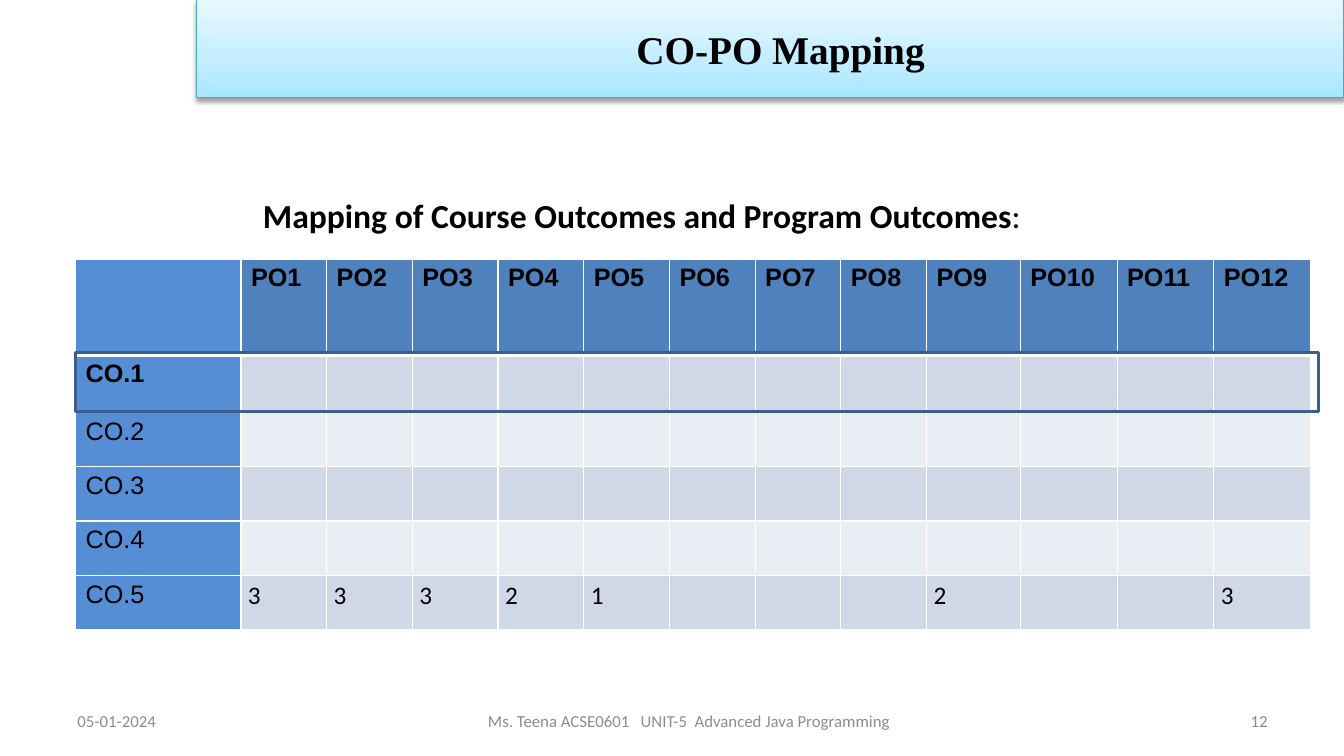
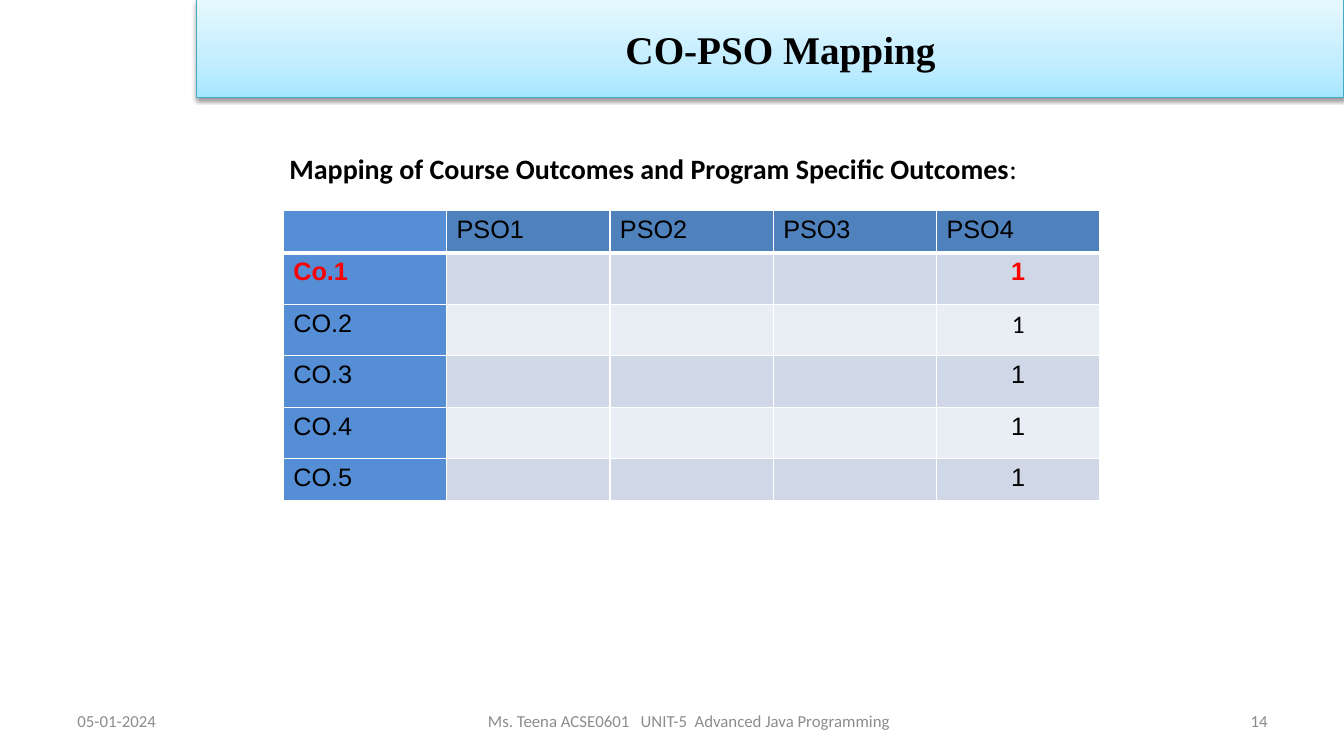
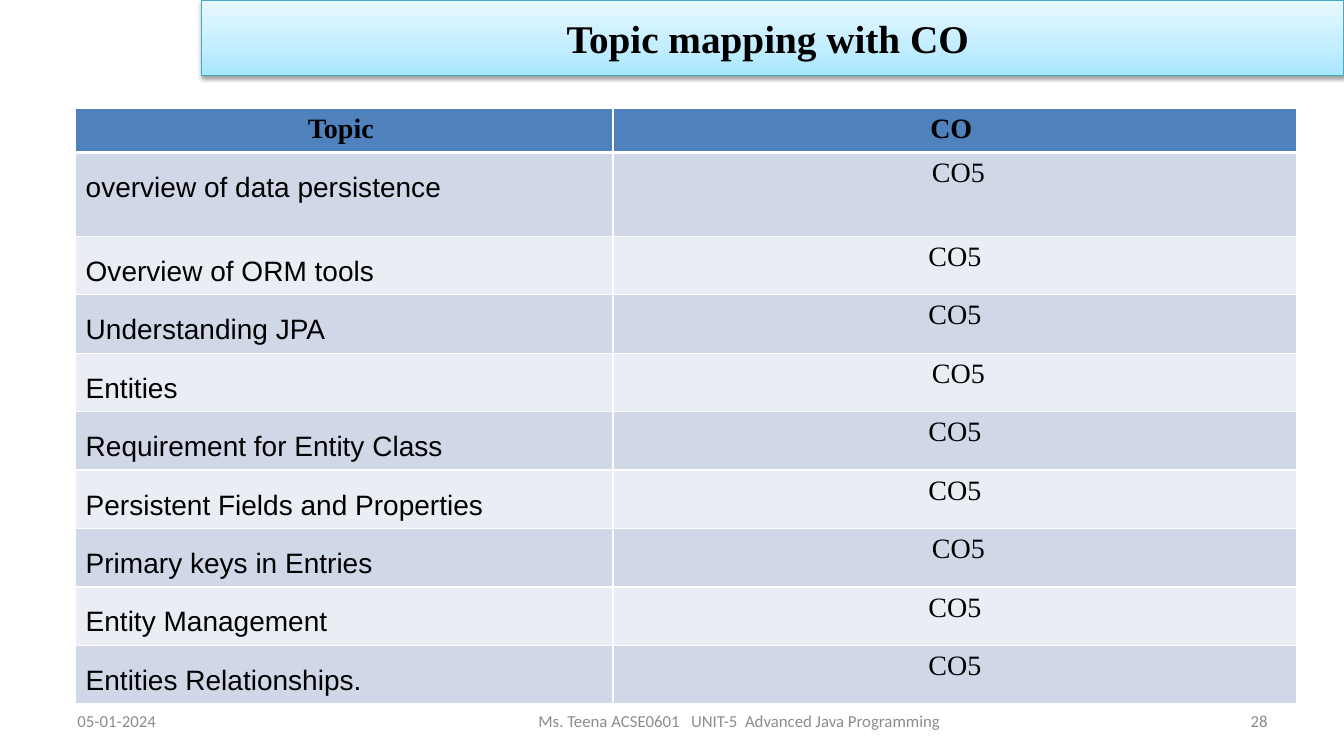
from pptx import Presentation
from pptx.dml.color import RGBColor
from pptx.enum.shapes import MSO_SHAPE as Shape
from pptx.enum.text import MSO_ANCHOR as Anchor, PP_ALIGN as Align
from pptx.oxml import parse_xml
from pptx.oxml.ns import nsdecls
from pptx.util import Inches, Pt

BLACK = RGBColor(0x00, 0x00, 0x00)
WHITE = RGBColor(0xFF, 0xFF, 0xFF)
RED = RGBColor(0xFF, 0x00, 0x00)
GREY = RGBColor(0x8C, 0x8C, 0x8C)
NUMBER_GREY = RGBColor(0x89, 0x89, 0x89)
HEADER_BLUE = RGBColor(0x4F, 0x81, 0xBD)
LABEL_BLUE = RGBColor(0x55, 0x8E, 0xD5)
BANDS = (RGBColor(0xD0, 0xD8, 0xE8), RGBColor(0xE9, 0xED, 0xF4))
TITLE_EDGE = RGBColor(0x46, 0xAA, 0xC5)
OUTLINE = RGBColor(0x3A, 0x5F, 0x8C)
TITLE_STOPS = (
    (0, RGBColor(0xA7, 0xE6, 0xFF)),
    (35, RGBColor(0xC1, 0xED, 0xFF)),
    (100, RGBColor(0xE7, 0xF8, 0xFF)),
)

SANS, BODY, SERIF = "Arial", "Calibri", "Times New Roman"
SLIDE_WIDTH, SLIDE_HEIGHT = 13.33, 7.5
FOOTER_TOP, FOOTER_HEIGHT = 6.95, 0.4
DATE = "05-01-2024"
COURSE = "Ms. Teena ACSE0601   UNIT-5  Advanced Java Programming"

OUTCOMES = [f"CO.{number}" for number in range(1, 6)]
PO_HEADER = [""] + [f"PO{number}" for number in range(1, 13)]
PO_SCORES = ["3", "3", "3", "2", "1", "", "", "", "2", "", "", "3"]
PO_ROWS = [PO_HEADER] + [[name] + [""] * 12 for name in OUTCOMES[:-1]] + [OUTCOMES[-1:] + PO_SCORES]
PO_WIDTHS = [1.64] + [0.85] * 8 + [0.93] + [0.96] * 3
PO_HEIGHTS = [0.95, 0.57] + [0.54] * 4

PSO_HEADER = [""] + [f"PSO{number}" for number in range(1, 5)]
PSO_ROWS = [PSO_HEADER] + [[name, "", "", "", "1"] for name in ["Co.1"] + OUTCOMES[1:]]
PSO_WIDTHS = [1.62] * 5
PSO_HEIGHTS = [0.42] + [0.51] * 4 + [0.42]

TOPIC_ROWS = [
    ("Topic ", "CO "),
    ("overview of data persistence", " CO5"),
    ("Overview of ORM tools", "CO5"),
    ("Understanding JPA", "CO5"),
    ("Entities", " CO5"),
    ("Requirement for Entity Class", "CO5"),
    ("Persistent Fields and Properties", "CO5"),
    ("Primary keys in Entries", " CO5"),
    ("Entity Management", "CO5"),
    ("Entities Relationships.", "CO5"),
]
TOPIC_WIDTHS = [5.33, 6.78]
TOPIC_HEIGHTS = [0.43, 0.83] + [0.54] * 8


def write(frame, text, font=BODY, size=18, bold=False, color=BLACK, align=Align.LEFT, spacing=None, tail=""):
    para = frame.paragraphs[0]
    para.alignment = align
    para.line_spacing = spacing
    for words, weight in ((text, bold), (tail, False)):
        if words:
            span = para.add_run()
            span.text = words
            span.font.name = font
            span.font.size = Pt(size)
            span.font.bold = weight
            span.font.color.rgb = color


def set_margins(holder, left=0.1, top=0.05, right=0.1, bottom=0.05):
    holder.margin_left, holder.margin_right = Inches(left), Inches(right)
    holder.margin_top, holder.margin_bottom = Inches(top), Inches(bottom)


def add_text(page, place, text, anchor=Anchor.MIDDLE, left=0.1, **style):
    frame = page.shapes.add_textbox(*map(Inches, place)).text_frame
    frame.word_wrap = True
    frame.vertical_anchor = anchor
    set_margins(frame, left=left)
    write(frame, text, **style)


def add_title(page, title, left, height, inset_left, inset_right):
    band = page.shapes.add_shape(
        Shape.RECTANGLE, Inches(left), 0, Inches(SLIDE_WIDTH - left), Inches(height))
    stops = "".join(
        f'<a:gs pos="{place * 1000}"><a:srgbClr val="{color}"/></a:gs>' for place, color in TITLE_STOPS)
    properties = band._element.spPr
    properties.insert(2, parse_xml(
        f'<a:gradFill {nsdecls("a")} rotWithShape="1"><a:gsLst>{stops}</a:gsLst>'
        '<a:lin ang="16200000" scaled="0"/></a:gradFill>'))
    band.line.color.rgb = TITLE_EDGE
    band.line.width = Pt(0.75)
    properties.append(parse_xml(
        f'<a:effectLst {nsdecls("a")}><a:outerShdw blurRad="{Pt(3.1)}" dist="{Pt(1.6)}" dir="5400000" '
        'rotWithShape="0"><a:srgbClr val="000000"><a:alpha val="38000"/></a:srgbClr>'
        '</a:outerShdw></a:effectLst>'))
    frame = band.text_frame
    frame.word_wrap = True
    frame.vertical_anchor = Anchor.MIDDLE
    set_margins(frame, left=inset_left, right=inset_right)
    write(frame, title, font=SERIF, size=28, bold=True, align=Align.CENTER)


def add_page(deck, title, number, band=(1.95, 0.97, 0.3, 0.1), course_place=(2.92, 7.83)):
    page = deck.slides.add_slide(deck.slide_layouts[6])
    footers = (
        (DATE, 0.67, 3.11, Align.LEFT, GREY),
        (COURSE, *course_place, Align.CENTER, GREY),
        (str(number), 9.56, 3.11, Align.RIGHT, NUMBER_GREY),
    )
    for text, left, width, align, color in footers:
        add_text(page, (left, FOOTER_TOP, width, FOOTER_HEIGHT), text, size=12, align=align, color=color)
    add_title(page, title, *band)
    return page


def add_borders(cell, row):
    for side in "LRTB":
        thick = (row, side) in ((0, "B"), (1, "T"))
        cell._tc.get_or_add_tcPr().append(parse_xml(
            f'<a:ln{side} {nsdecls("a")} w="{Pt(3 if thick else 1)}"><a:solidFill>'
            f'<a:srgbClr val="{WHITE}"/></a:solidFill></a:ln{side}>'))


def add_grid(page, left, top, widths, heights, rows, style_of, labelled=True):
    table = page.shapes.add_table(
        len(rows), len(widths), Inches(left), Inches(top),
        Inches(sum(widths)), Inches(sum(heights))).table
    for column, width in zip(table.columns, widths):
        column.width = Inches(width)
    for line, height in zip(table.rows, heights):
        line.height = Inches(height)
    for row, texts in enumerate(rows):
        for col, text in enumerate(texts):
            cell = table.cell(row, col)
            add_borders(cell, row)
            cell.fill.solid()
            if labelled and col == 0:
                cell.fill.fore_color.rgb = LABEL_BLUE
            else:
                cell.fill.fore_color.rgb = BANDS[(row - 1) % 2] if row else HEADER_BLUE
            margins, style = style_of(row, col)
            set_margins(cell, *margins)
            write(cell.text_frame, text, **style)


def po_style(row, col):
    if row and col:
        return (0.07, 0, 0.07, 0), dict(spacing=1.15)
    return (), dict(font=SANS, bold=row < 2)


def pso_style(row, col):
    return (), dict(
        font=BODY if (row, col) == (2, 4) else SANS,
        bold=row == 1,
        color=RED if row == 1 else BLACK,
        align=Align.CENTER if row and col == 4 else Align.LEFT)


def topic_style(row, col):
    if row and col == 0:
        return (0.1, 0.04, 0.1, 0.04), dict(font=SANS, size=20, spacing=1.5)
    return (0.13, 0.05, 0.13, 0.05), dict(font=SERIF, size=20, bold=row == 0, align=Align.CENTER)


def main():
    deck = Presentation()
    deck.slide_width, deck.slide_height = Inches(SLIDE_WIDTH), Inches(SLIDE_HEIGHT)

    page = add_page(deck, "CO-PO Mapping", 12)
    add_text(page, (2.51, 0.9, 8.48, 1.48), "Mapping of Course Outcomes and Program Outcomes",
             anchor=Anchor.BOTTOM, size=24, bold=True, tail=":")
    add_grid(page, 0.75, 2.57, PO_WIDTHS, PO_HEIGHTS, PO_ROWS, po_style)
    outline = page.shapes.add_shape(
        Shape.RECTANGLE, Inches(0.75), Inches(3.5), Inches(12.33), Inches(0.58))
    outline.shadow.inherit = False
    outline.fill.background()
    outline.line.color.rgb = OUTLINE
    outline.line.width = Pt(2)

    page = add_page(deck, "CO-PSO Mapping", 14)
    add_text(page, (2.48, 1.45, 7.81, 0.44), "Mapping of Course Outcomes and Program Specific Outcomes",
             anchor=Anchor.TOP, left=0.39, size=20, bold=True, tail=":")
    add_grid(page, 2.81, 2.09, PSO_WIDTHS, PSO_HEIGHTS, PSO_ROWS, pso_style)

    page = add_page(deck, "Topic mapping with CO", 28,
                    band=(2, 0.75, 0.1, 0.2), course_place=(3.67, 7.33))
    add_grid(page, 0.75, 1.08, TOPIC_WIDTHS, TOPIC_HEIGHTS, TOPIC_ROWS, topic_style, labelled=False)

    deck.save("out.pptx")


if __name__ == "__main__":
    main()
